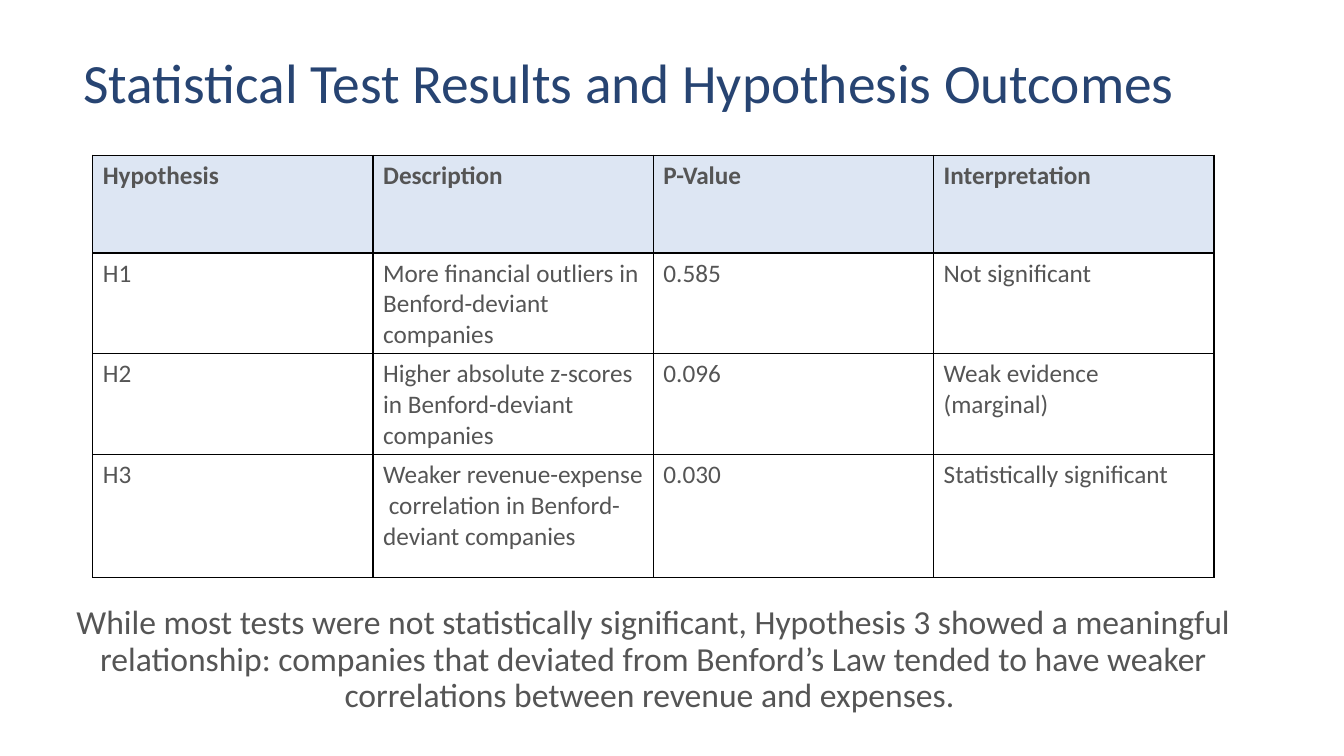
from dataclasses import dataclass

from lxml import etree
from pptx import Presentation
from pptx import util as u
from pptx.dml.color import RGBColor
from pptx.enum import text
from pptx.oxml.ns import qn

PX = 9144  # EMU per px, 100 px to the inch
FONT = "Calibri"
NAVY, GREY, PALE_BLUE, WHITE, BLACK = "274472", "555555", "DDE6F3", "FFFFFF", "000000"


@dataclass
class Caption:
    words: str
    left: int
    top: int
    width: int
    height: int
    size: float
    color: str
    anchor: text.MSO_ANCHOR
    align: text.PP_ALIGN
    space_before: int = 0


CAPTIONS = [
    Caption("Statistical Test Results and Hypothesis Outcomes",
            73, 15, 1150, 139, 39.6, NAVY, text.MSO_ANCHOR.MIDDLE, text.PP_ALIGN.LEFT),
    Caption("While most tests were not statistically significant, Hypothesis 3 showed a "
            "meaningful relationship: companies that deviated from Benford’s Law tended to "
            "have weaker correlations between revenue and expenses. ",
            27, 596, 1242, 145, 24, GREY, text.MSO_ANCHOR.TOP, text.PP_ALIGN.CENTER, 10),
]

RESULTS = [
    ("Hypothesis", "Description", "P-Value", "Interpretation"),
    ("H1", "More financial outliers in Benford-deviant companies", "0.585", "Not significant"),
    ("H2", "Higher absolute z-scores in Benford-deviant companies", "0.096",
     "Weak evidence (marginal)"),
    ("H3", "Weaker revenue-expense  correlation in Benford-deviant companies", "0.030",
     "Statistically significant"),
]
COLUMN_WIDTH = 278
ROW_HEIGHTS = [97, 97, 97, 122]


def rgb(color: str) -> RGBColor:
    return RGBColor.from_string(color)


def add_span(para, words: str, size: float, color: str, bold: bool = False) -> None:
    span = para.add_run()
    span.text = words
    font = span.font
    font.name, font.size, font.bold = FONT, u.Pt(size), bold
    font.color.rgb = rgb(color)


def add_caption(page, caption: Caption) -> None:
    box = page.shapes.add_textbox(caption.left * PX, caption.top * PX,
                                  caption.width * PX, caption.height * PX)
    frame = box.text_frame
    frame.word_wrap = True
    frame.vertical_anchor = caption.anchor
    para = frame.paragraphs[0]
    para.alignment = caption.align
    para.line_spacing = 0.9
    para.space_before = u.Pt(caption.space_before)
    add_span(para, caption.words, caption.size, caption.color)


def add_borders(cell, color: str, points: float) -> None:
    properties = cell._tc.get_or_add_tcPr()
    for position, side in enumerate(("a:lnL", "a:lnR", "a:lnT", "a:lnB")):
        line = etree.Element(qn(side), w=str(u.Pt(points)))
        fill = etree.SubElement(line, qn("a:solidFill"))
        etree.SubElement(fill, qn("a:srgbClr"), val=color)
        properties.insert(position, line)


def add_results(page, left: int, top: int) -> None:
    columns = len(RESULTS[0])
    table = page.shapes.add_table(len(RESULTS), columns, left * PX, top * PX,
                                  columns * COLUMN_WIDTH * PX, sum(ROW_HEIGHTS) * PX).table
    table.horz_banding = False
    for column in table.columns:
        column.width = COLUMN_WIDTH * PX
    for index, (row, height) in enumerate(zip(table.rows, ROW_HEIGHTS)):
        row.height = height * PX
        header = index == 0
        for cell, words in zip(row.cells, RESULTS[index]):
            cell.fill.solid()
            cell.fill.fore_color.rgb = rgb(PALE_BLUE if header else WHITE)
            add_borders(cell, BLACK, 1)
            add_span(cell.text_frame.paragraphs[0], words, 18, GREY, header)


def main() -> None:
    deck = Presentation()
    deck.slide_width, deck.slide_height = 1333 * PX, 750 * PX
    page = deck.slides.add_slide(deck.slide_layouts[6])

    # Title and conclusion
    for caption in CAPTIONS:
        add_caption(page, caption)

    # Table of hypothesis tests
    add_results(page, 92, 154)

    deck.save("out.pptx")


if __name__ == "__main__":
    main()
